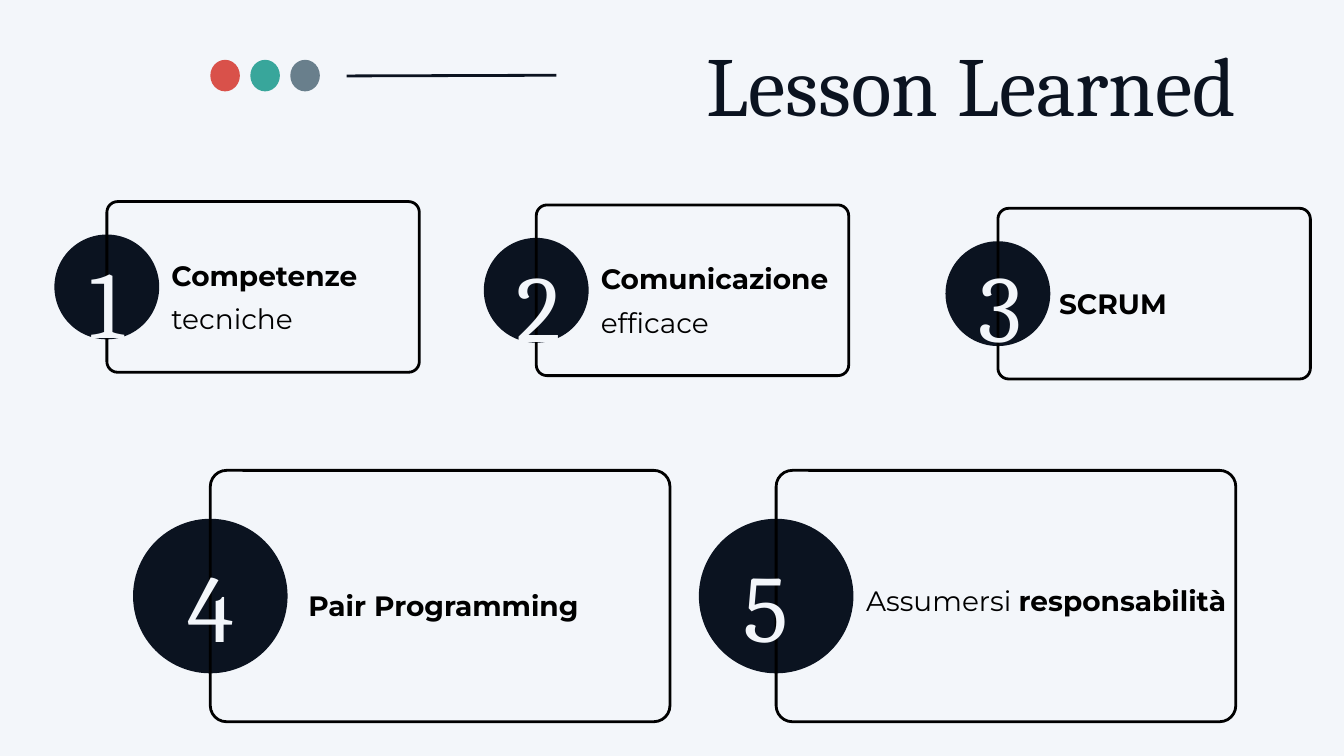
import pptx
import pptx.util
from pptx.dml.color import RGBColor
from pptx.enum.shapes import MSO_CONNECTOR, MSO_SHAPE
from pptx.enum.text import MSO_ANCHOR, MSO_AUTO_SIZE, PP_ALIGN
from pptx.oxml.ns import qn
from lxml import etree

PX = 9144  # EMU per px, 100 px to the inch
SLIDE = (2000, 1125)

THEME = {
    "paper": "F3F6FA",
    "navy": "0B1320",
    "black": "000000",
    "line": 3,
    "title": {"name": "Cambria", "size": 90, "color": "0B1320"},
    "number": {"name": "Cambria", "size": 101.6, "color": "F3F6FA"},
    "lesson": {"name": "Montserrat", "size": 30, "color": "000000"},
}

TITLE = ("Lesson Learned", (811, 18, 1029, 152))
DOTS = ["D9514A", "38A69B", "697F8C"]
DOT_LEFT, DOT_TOP, DOT_W, DOT_H, DOT_STEP = 313, 89, 44, 47, 59.5
RULE = (516, 113, 828, 112)

# Frame size, corner radius and badge diameter of each row
ROWS = {
    "upper": {"frame": (465, 254), "radius": 16, "badge": 156},
    "lower": {"frame": (684, 374), "radius": 24, "badge": 230},
}
CENTER, LEFT, RIGHT = PP_ALIGN.CENTER, PP_ALIGN.LEFT, PP_ALIGN.RIGHT
# Lesson paragraphs are lists of (text, bold) runs
LESSONS = [
    {"row": "upper", "at": (159, 300), "number": ("1", (129, 358, 59, 110), CENTER),
     "lesson": [[("Competenze", True), (" tecniche", False)]], "box": (255, 369, 374, 116)},
    {"row": "lower", "at": (313, 700), "number": ("4", (242, 780, 143, 171), CENTER),
     "lesson": [[("Pair Programming", True)]], "box": (459, 861, 550, 50)},
    {"row": "lower", "at": (1155, 700), "number": ("5", (1106, 780, 99, 171), LEFT),
     "lesson": [[("Assumersi ", False), ("responsabilità", True)]], "box": (1289, 854, 550, 50)},
    {"row": "upper", "at": (798, 305), "number": ("2", (768, 364, 59, 110), CENTER),
     "lesson": [[("Comunicazione", True)], [("efficace", False)]], "box": (894, 374, 374, 116)},
    {"row": "upper", "at": (1485, 310), "number": ("3", (1456, 364, 59, 110), LEFT),
     "lesson": [[("SCRUM", True)]], "box": (1576, 412, 374, 50)},
]


def emu(*lengths):
    return [pptx.util.Emu(round(length * PX)) for length in lengths]


def color(name):
    return RGBColor.from_string(name)


def add_outline(slide, preset, box, fill=None, line=None):
    shape = slide.shapes.add_shape(preset, *emu(*box))
    shape.shadow.inherit = False
    if fill:
        shape.fill.solid()
        shape.fill.fore_color.rgb = color(fill)
    else:
        shape.fill.background()
    if line:
        shape.line.color.rgb = color(line)
        shape.line.width = pptx.util.Pt(THEME["line"])
    else:
        shape.line.fill.background()
    return shape


def add_text(slide, paragraphs, box, style, spacing, align=LEFT,
             anchor=MSO_ANCHOR.TOP, fit=MSO_AUTO_SIZE.SHAPE_TO_FIT_TEXT):
    frame = slide.shapes.add_textbox(*emu(*box)).text_frame
    settings = {"word_wrap": True, "auto_size": fit, "vertical_anchor": anchor,
                "margin_left": 0, "margin_top": 0, "margin_right": 0, "margin_bottom": 0}
    for key, value in settings.items():
        setattr(frame, key, value)
    for index, runs in enumerate(paragraphs):
        paragraph = frame.add_paragraph() if index else frame.paragraphs[0]
        paragraph.alignment = align
        paragraph.line_spacing = spacing
        for text, bold in runs:
            run = paragraph.add_run()
            run.text = text
            font = {"name": style["name"], "size": pptx.util.Pt(style["size"]), "bold": bold}
            for key, value in font.items():
                setattr(run.font, key, value)
            run.font.color.rgb = color(style["color"])


def add_header(slide):
    title, box = TITLE
    add_text(slide, [[(title, False)]], box, THEME["title"], 1.2, RIGHT)
    rule = slide.shapes.add_connector(MSO_CONNECTOR.STRAIGHT, *emu(*RULE))
    rule.line.color.rgb = color(THEME["navy"])
    rule.line.width = pptx.util.Pt(THEME["line"])
    etree.SubElement(rule._element.spPr, qn("a:effectLst"))
    for index, fill in enumerate(DOTS):
        dot = (DOT_LEFT + index * DOT_STEP, DOT_TOP, DOT_W, DOT_H)
        add_outline(slide, MSO_SHAPE.OVAL, dot, fill=fill)


def add_lesson(slide, card):
    """Draw a frame with a numbered badge centred on its left side."""
    row = ROWS[card["row"]]
    (left, top), (width, height), badge = card["at"], row["frame"], row["badge"]
    badge_box = (left - badge / 2, top + (height - badge) / 2, badge, badge)
    add_outline(slide, MSO_SHAPE.OVAL, badge_box, fill=THEME["navy"])
    frame = add_outline(slide, MSO_SHAPE.ROUNDED_RECTANGLE, (left, top, width, height),
                        line=THEME["black"])
    frame.adjustments[0] = row["radius"] / height
    number, box, align = card["number"]
    add_text(slide, [[(number, False)]], box, THEME["number"], 1.4, align,
             MSO_ANCHOR.MIDDLE, MSO_AUTO_SIZE.NONE)
    add_text(slide, card["lesson"], card["box"], THEME["lesson"], 1.3)


def main():
    deck = pptx.Presentation()
    deck.slide_width, deck.slide_height = emu(*SLIDE)
    slide = deck.slides.add_slide(deck.slide_layouts[6])
    slide.background.fill.solid()
    slide.background.fill.fore_color.rgb = color(THEME["paper"])
    add_header(slide)
    for card in LESSONS:
        add_lesson(slide, card)
    deck.save("out.pptx")


if __name__ == "__main__":
    main()
